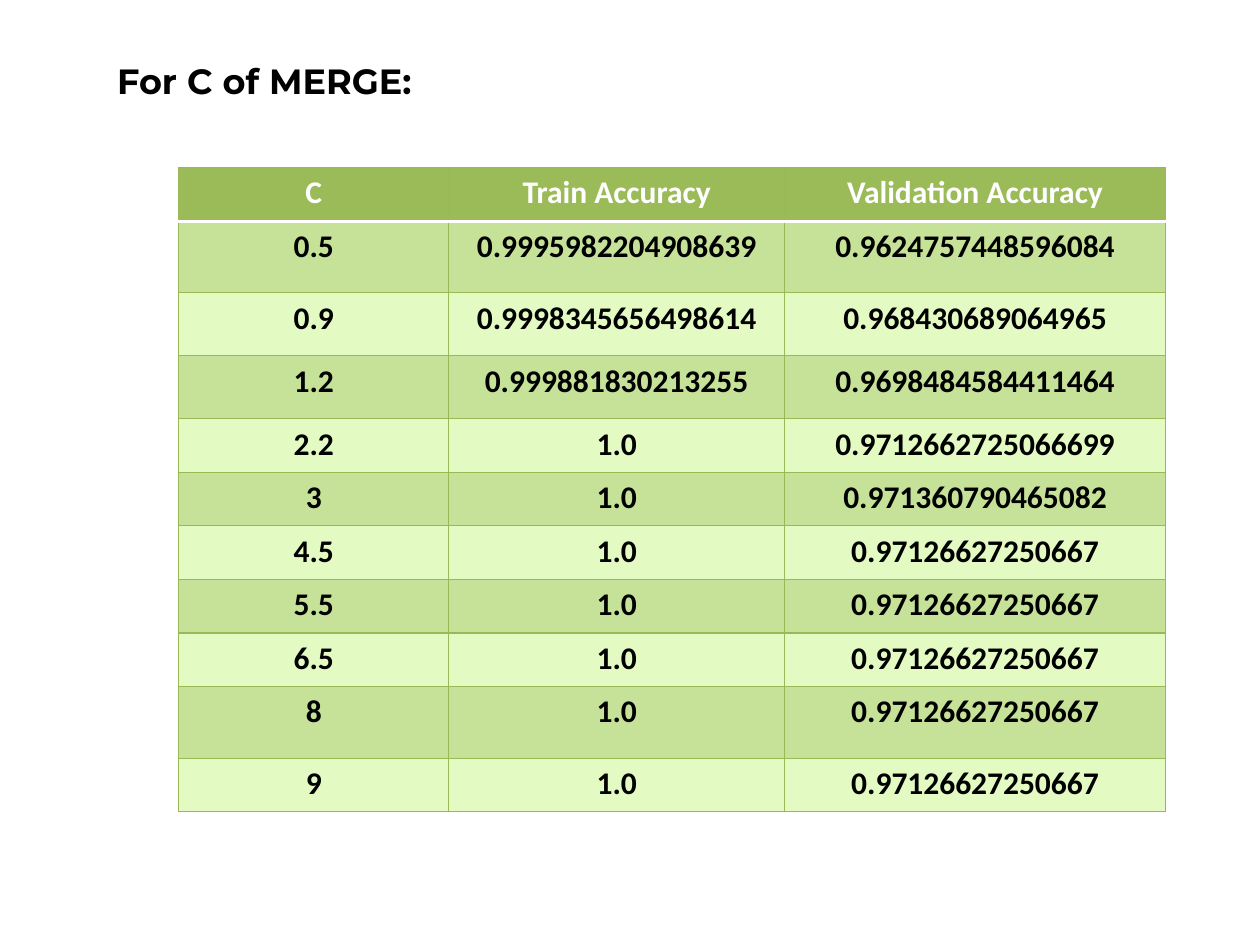
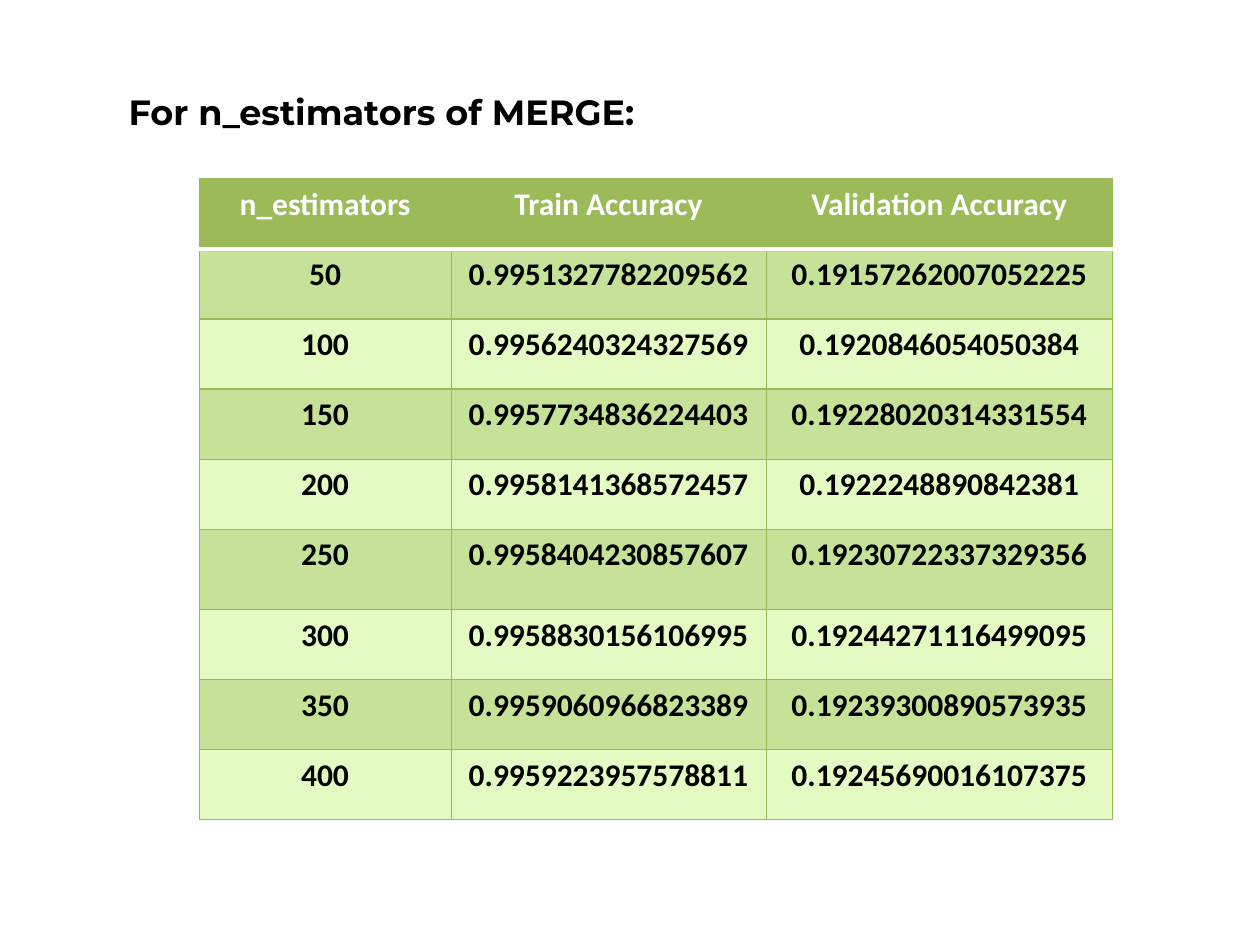
"""Two slides, each with a title and a table of accuracy scores."""
from dataclasses import dataclass

import pptx
import pptx.dml.color
import pptx.enum.text
import pptx.oxml
import pptx.oxml.ns
import pptx.util
from pptx.util import Inches

HUES = {
    "head": "9BBB59",
    "dark": "C6E198",
    "pale": "E3FBC2",
    "edge": "98B955",
    "white": "FFFFFF",
    "black": "000000",
}
ALIGN = pptx.enum.text.PP_ALIGN


@dataclass
class Page:
    """Title and table of one slide; lengths are in inches."""
    title: str
    title_box: tuple
    spot: tuple
    cols: tuple
    head: str
    rows: list
    base: float  # usual row height
    tall: dict  # row heights that differ, by row number


PAGES = [
    Page("For C of MERGE:", (0.83, 0.42, 2.83, 0.44),
         (1.42, 1.33), (2.14, 2.67, 3.02), "C",
         [("0.5", "0.9995982204908639", "0.9624757448596084"),
          ("0.9", "0.9998345656498614", "0.968430689064965"),
          ("1.2", "0.999881830213255", "0.9698484584411464"),
          ("2.2", "1.0", "0.9712662725066699"),
          ("3", "1.0", "0.971360790465082")]
         + [(c, "1.0", "0.97126627250667")
            for c in ("4.5", "5.5", "6.5", "8", "9")],
         0.425, {1: 0.57, 2: 0.5, 3: 0.5, 9: 0.57}),
    Page("For n_estimators of MERGE:", (0.92, 0.67, 4.67, 0.44),
         (1.58, 1.42), (2, 2.5, 2.75), "n_estimators",
         [("50", "0.9951327782209562", "0.19157262007052225"),
          ("100", "0.9956240324327569", "0.1920846054050384"),
          ("150", "0.9957734836224403", "0.19228020314331554"),
          ("200", "0.9958141368572457", "0.1922248890842381"),
          ("250", "0.9958404230857607", "0.19230722337329356"),
          ("300", "0.9958830156106995", "0.19244271116499095"),
          ("350", "0.9959060966823389", "0.19239300890573935"),
          ("400", "0.9959223957578811", "0.19245690016107375")],
         0.556, {5: 0.64}),
]


def tint(name: str) -> pptx.dml.color.RGBColor:
    """Return a named colour."""
    return pptx.dml.color.RGBColor.from_string(HUES[name])


def write(frame, text: str, *, size: float, font: str,
          hue: str = "black", align=ALIGN.LEFT) -> None:
    """Put one bold line of text in a text frame."""
    line = frame.paragraphs[0]
    line.alignment = align
    run = line.add_run()
    run.text = text
    run.font.size = pptx.util.Pt(size)
    run.font.name = font
    run.font.bold = True
    run.font.color.rgb = tint(hue)


def edge(cell, side: str, hue: str, width: float) -> None:
    """Add one border (L, R, T or B) to a cell."""
    space = pptx.oxml.ns.nsdecls("a")
    cell._tc.get_or_add_tcPr().append(pptx.oxml.parse_xml(
        f'<a:ln{side} {space} w="{pptx.util.Pt(width)}"><a:solidFill>'
        f'<a:srgbClr val="{HUES[hue]}"/></a:solidFill></a:ln{side}>'))


def add_title(slide, page: Page) -> None:
    """Place and format the slide title."""
    title = slide.shapes.title
    title.left, title.top, title.width, title.height = map(
        Inches, page.title_box)
    frame = title.text_frame
    frame.word_wrap = True
    frame.vertical_anchor = pptx.enum.text.MSO_ANCHOR.TOP
    frame.auto_size = pptx.enum.text.MSO_AUTO_SIZE.NONE
    write(frame, page.title, size=20, font="Montserrat")


def add_scores(slide, page: Page) -> None:
    """Draw the banded table with its header row."""
    rows = [(page.head, "Train Accuracy", "Validation Accuracy")] + page.rows
    highs = [page.tall.get(i, page.base) for i in range(len(rows))]
    size = (sum(page.cols), sum(highs))
    table = slide.shapes.add_table(
        len(rows), len(page.cols), *map(Inches, page.spot + size)).table
    for col, width in zip(table.columns, page.cols):
        col.width = Inches(width)
    for i, (row, high) in enumerate(zip(rows, highs)):
        table.rows[i].height = Inches(high)
        band = "head" if i == 0 else "dark" if i % 2 else "pale"
        rule = {"T": i == 1, "B": i == 0}  # white line under the header
        for cell, text in zip(table.rows[i].cells, row):
            for side in "LRTB":
                look = ("white", 2) if rule.get(side) else ("edge", 0.75)
                edge(cell, side, *look)
            cell.fill.solid()
            cell.fill.fore_color.rgb = tint(band)
            write(cell.text_frame, text, size=18, font="Calibri",
                  hue="black" if i else "white", align=ALIGN.CENTER)


def main() -> None:
    """Build and save the slides."""
    deck = pptx.Presentation()
    deck.slide_width, deck.slide_height = Inches(10), Inches(7.5)
    for page in PAGES:
        slide = deck.slides.add_slide(deck.slide_layouts[5])
        add_scores(slide, page)
        add_title(slide, page)
    deck.save("out.pptx")


main()
